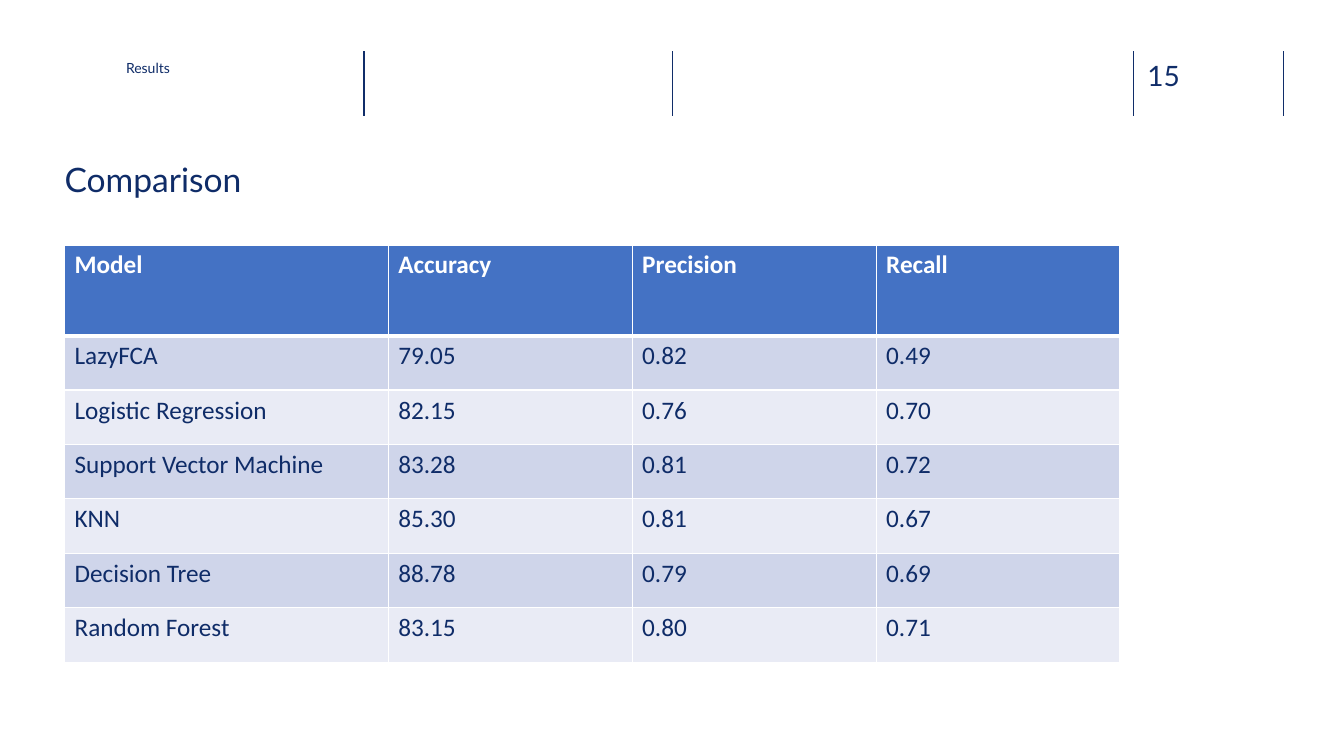
from dataclasses import dataclass
from typing import Any

from lxml.etree import SubElement
from pptx import Presentation
from pptx.dml.color import RGBColor
from pptx.enum.shapes import MSO_CONNECTOR
from pptx.enum.text import MSO_ANCHOR
from pptx.oxml.ns import qn
from pptx.util import Inches, Pt


@dataclass(frozen=True)
class Theme:
    ink: str = "0F2C68"
    rule: str = "102D69"
    white: str = "FFFFFF"
    header: str = "4472C4"
    bands: tuple[str, str] = ("CFD5EA", "E9EBF5")
    font: str = "Lato"
    table_font: str = "Calibri"
    label_size: int = 10
    table_size: int = 18
    number_size: int = 20
    title_size: int = 24


@dataclass(frozen=True)
class Label:
    text: str
    left: float
    top: float
    width: float
    height: float
    size: int
    color: str


THEME = Theme()

RULES = (3.61, 6.67, 11.24, 12.73)
RULE_TOP, RULE_BOTTOM = 0.51, 1.15

LABELS = (
    Label("15", 11.38, 0.58, 0.73, 0.34, THEME.number_size, THEME.rule),
    Label("Results", 1.25, 0.59, 2.08, 0.45, THEME.label_size, THEME.ink),
    Label("Comparison", 0.64, 1.58, 8.47, 0.85, THEME.title_size, THEME.ink),
)

COLUMN_WIDTHS = (3.21, 2.42, 2.42, 2.42)
HEADER_HEIGHT, ROW_HEIGHT = 0.9, 0.54
RESULTS = (
    ("Model", "Accuracy", "Precision", "Recall"),
    ("LazyFCA", "79.05", "0.82", "0.49"),
    ("Logistic Regression", "82.15", "0.76", "0.70"),
    ("Support Vector Machine", "83.28", "0.81", "0.72"),
    ("KNN", "85.30", "0.81", "0.67"),
    ("Decision Tree", "88.78", "0.79", "0.69"),
    ("Random Forest", "83.15", "0.80", "0.71"),
)


def write(tf: Any, text: str, color: str, **font: Any) -> None:
    r = tf.paragraphs[0].add_run()
    r.text = text
    for name, value in font.items():
        setattr(r.font, name, value)
    r.font.color.rgb = RGBColor.from_string(color)


def add_rule(s: Any, x: float) -> None:
    line = s.shapes.add_connector(
        MSO_CONNECTOR.STRAIGHT,
        Inches(x), Inches(RULE_TOP), Inches(x), Inches(RULE_BOTTOM),
    )
    line.line.color.rgb = RGBColor.from_string(THEME.rule)
    line.line.width = Pt(1)
    SubElement(line._element.spPr, qn("a:effectLst"))


def add_label(s: Any, label: Label) -> None:
    box = (label.left, label.top, label.width, label.height)
    tf = s.shapes.add_textbox(*map(Inches, box)).text_frame
    layout = {
        "word_wrap": True,
        "vertical_anchor": MSO_ANCHOR.TOP,
        "margin_left": 0,
        "margin_top": 0,
        "margin_right": 0,
        "margin_bottom": 0,
    }
    for name, value in layout.items():
        setattr(tf, name, value)
    write(tf, label.text, label.color, size=Pt(label.size), name=THEME.font)


def set_borders(cell: Any, widths: dict[str, int]) -> None:
    tc_pr = cell._tc.get_or_add_tcPr()
    for side, width in widths.items():
        ln = SubElement(tc_pr, qn(f"a:ln{side}"), w=str(Pt(width)))
        fill = SubElement(ln, qn("a:solidFill"))
        SubElement(fill, qn("a:srgbClr"), val=THEME.white)


def add_results(s: Any) -> None:
    heights = [HEADER_HEIGHT] + [ROW_HEIGHT] * (len(RESULTS) - 1)
    table = s.shapes.add_table(
        len(RESULTS), len(COLUMN_WIDTHS), Inches(0.64), Inches(2.43),
        Inches(sum(COLUMN_WIDTHS)), Inches(sum(heights)),
    ).table
    for column, width in zip(table.columns, COLUMN_WIDTHS):
        column.width = Inches(width)

    for i, (row, height, values) in enumerate(zip(table.rows, heights, RESULTS)):
        row.height = Inches(height)
        is_header = i == 0
        fill = THEME.header if is_header else THEME.bands[(i - 1) % 2]
        color = THEME.white if is_header else THEME.ink
        # The edge below the header is heavier than the others
        borders = {"L": 1, "R": 1, "T": 3 if i == 1 else 1, "B": 3 if is_header else 1}
        for cell, value in zip(row.cells, values):
            set_borders(cell, borders)
            cell.fill.solid()
            cell.fill.fore_color.rgb = RGBColor.from_string(fill)
            write(cell.text_frame, value, color, size=Pt(THEME.table_size),
                  name=THEME.table_font, bold=is_header)


def main() -> None:
    prs = Presentation()
    prs.slide_width, prs.slide_height = Inches(13.33), Inches(7.5)
    s = prs.slides.add_slide(prs.slide_layouts[6])

    # Header rules
    for x in RULES:
        add_rule(s, x)

    # Page number, section and title
    for label in LABELS:
        add_label(s, label)

    # Model comparison
    add_results(s)

    prs.save("out.pptx")


if __name__ == "__main__":
    main()
